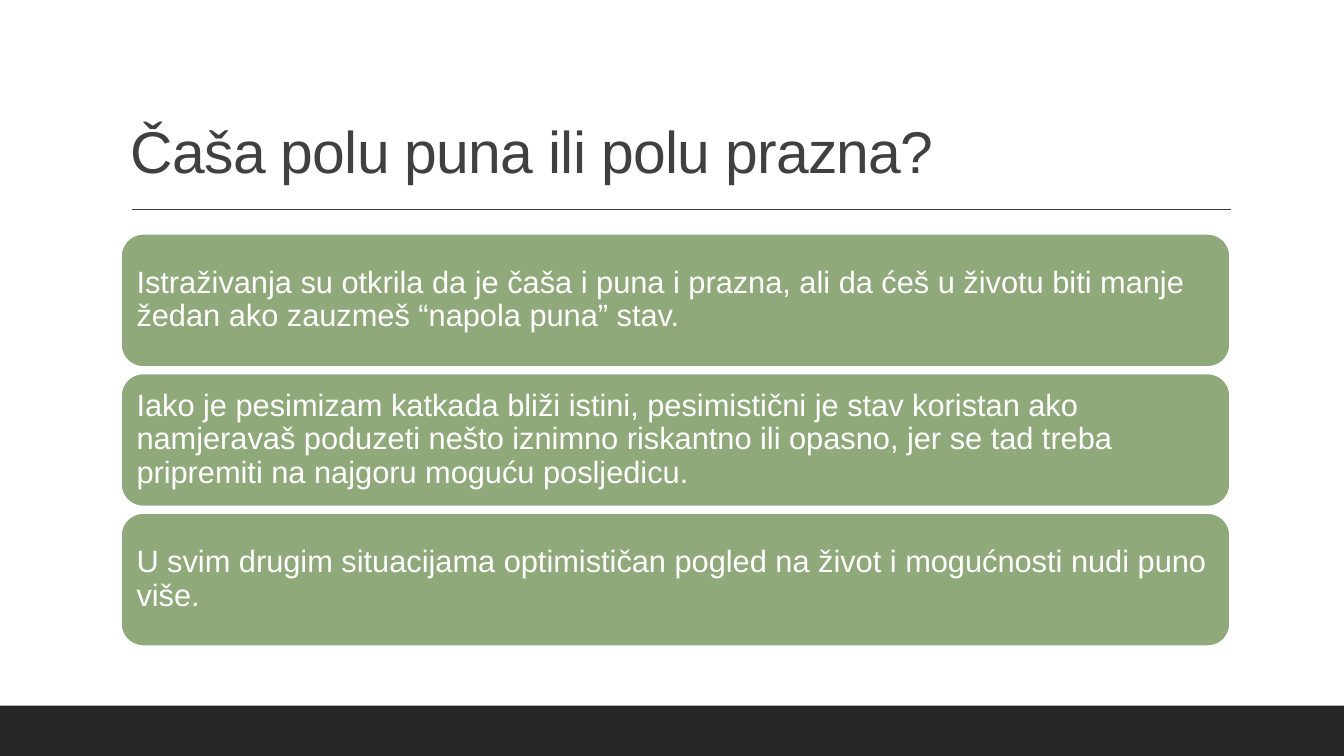
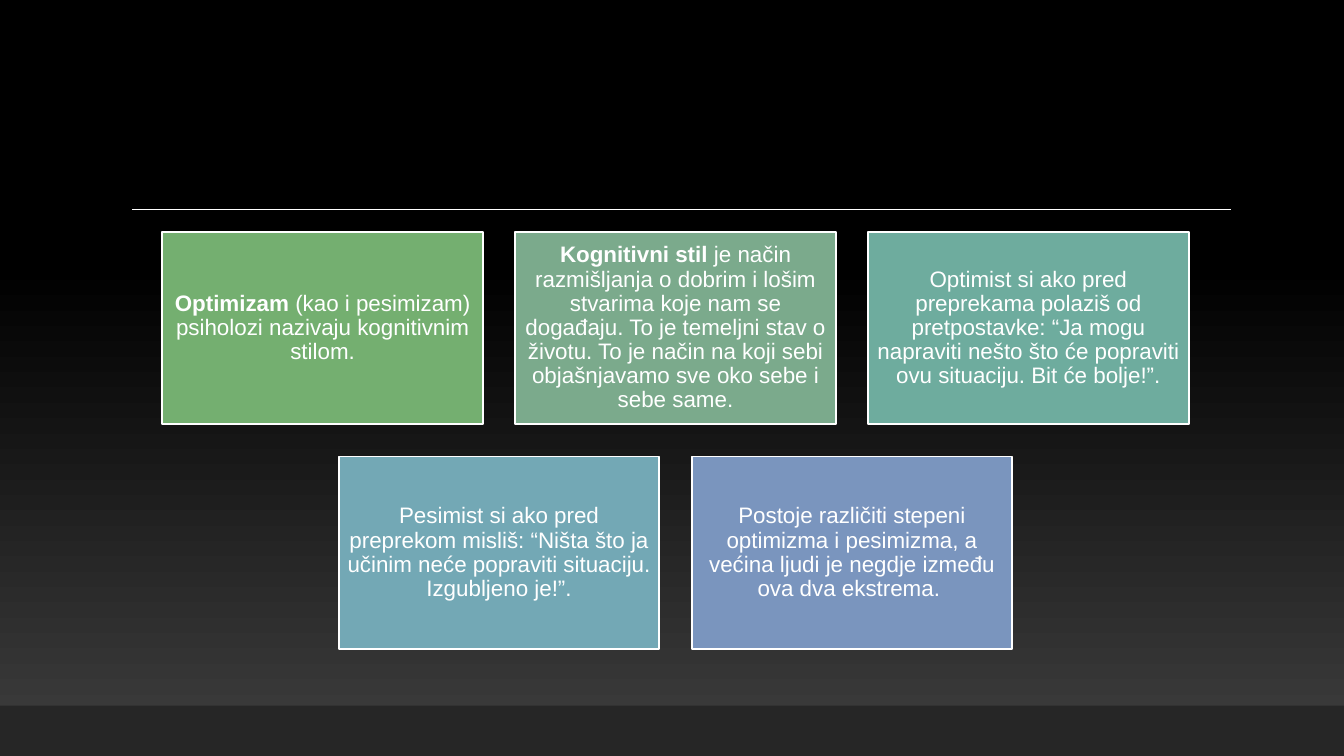
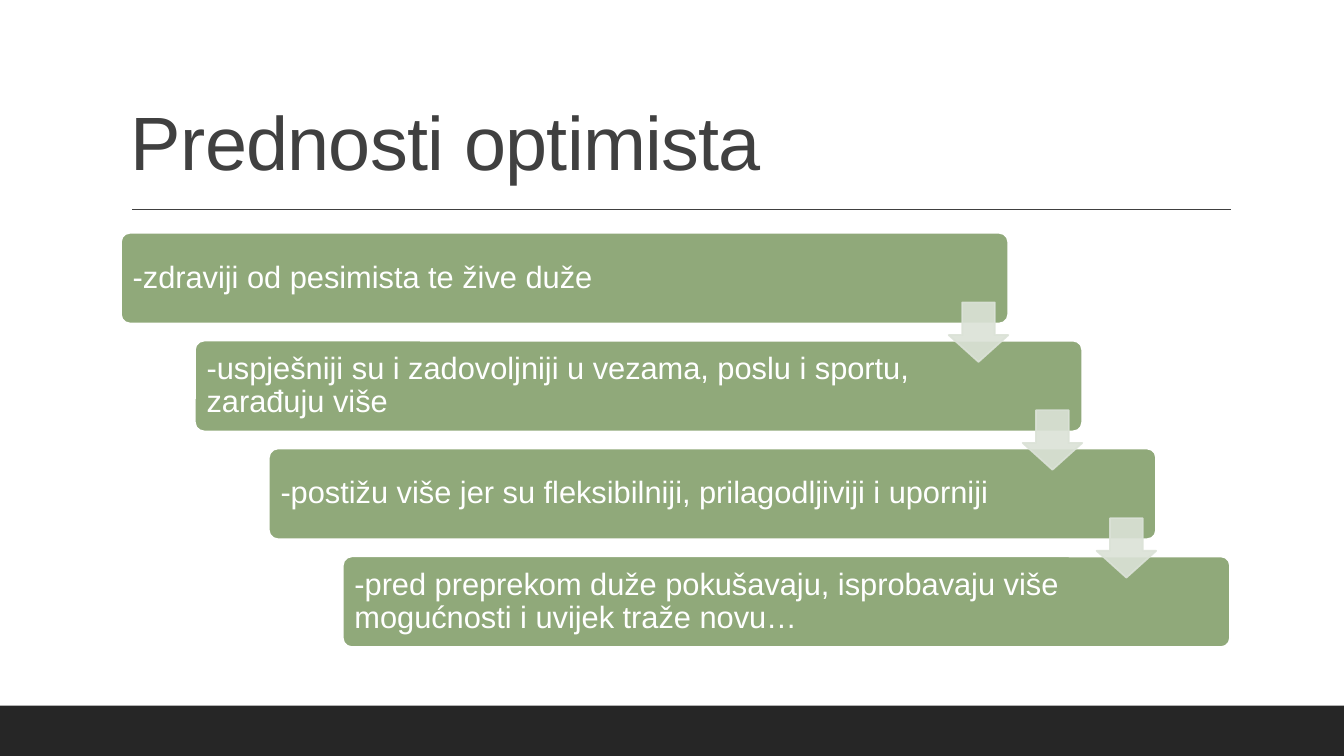
from pptx import Presentation
from pptx.dml.color import RGBColor
from pptx.enum.shapes import MSO_CONNECTOR, MSO_SHAPE as SHAPE
from pptx.enum.text import MSO_ANCHOR as ANCHOR, PP_ALIGN as ALIGN
from pptx.oxml.ns import qn
from pptx.util import Inches, Pt
from lxml.etree import SubElement

# Shared style
WHITE = RGBColor(0xFF, 0xFF, 0xFF)
BLACK = RGBColor(0, 0, 0)
GREY = RGBColor(0x3F, 0x3F, 0x3F)
DARK = RGBColor(0x40, 0x40, 0x40)
BAND = RGBColor(0x26, 0x26, 0x26)
GREEN = RGBColor(0x90, 0xA9, 0x7A)
PALE = RGBColor(0xDB, 0xE2, 0xD7)
CARD_COLOURS = [RGBColor(0x74, 0xAF, 0x70), RGBColor(0x7B, 0xAA, 0x8C),
                RGBColor(0x6E, 0xAC, 0x9E), RGBColor(0x73, 0xA8, 0xB5),
                RGBColor(0x7A, 0x95, 0xBE)]
FONT = "Arial"

# Shared layout, in inches
SLIDE_W, SLIDE_H = 13.33, 7.5
LEFT, WIDTH = 1.2, 11
BAND_H = 0.5
RULE_Y = 2.08

# Wording
BARS = [
    "Istraživanja su otkrila da je čaša i puna i prazna, ali da ćeš u životu "
    "biti manje žedan ako zauzmeš “napola puna” stav.",
    "Iako je pesimizam katkada bliži istini, pesimistični je stav koristan ako "
    "namjeravaš poduzeti nešto iznimno riskantno ili opasno, jer se tad treba "
    "pripremiti na najgoru moguću posljedicu.",
    "U svim drugim situacijama optimističan pogled na život i mogućnosti nudi "
    "puno više.",
]
# Each card is a bold lead and the plain text after it
CARDS = [
    ("Optimizam", " (kao i pesimizam) psiholozi nazivaju kognitivnim stilom."),
    ("Kognitivni stil ", "je način razmišljanja o dobrim i lošim stvarima koje "
     "nam se događaju. To je temeljni stav o životu. To je način na koji sebi "
     "objašnjavamo sve oko sebe i sebe same."),
    ("", "Optimist si ako pred preprekama polaziš od pretpostavke: “Ja mogu "
     "napraviti nešto što će popraviti ovu situaciju. Bit će bolje!”."),
    ("", "Pesimist si ako pred preprekom misliš: “Ništa što ja učinim neće "
     "popraviti situaciju. Izgubljeno je!”."),
    ("", "Postoje različiti stepeni optimizma i pesimizma, a većina ljudi je "
     "negdje između ova dva ekstrema. "),
]
STEPS = [
    "-zdraviji od pesimista te žive duže",
    "-uspješniji su i zadovoljniji u vezama, poslu i sportu, zarađuju više",
    "-postižu više jer su fleksibilniji, prilagodljiviji i uporniji",
    "-pred preprekom duže pokušavaju, isprobavaju više mogućnosti i uvijek "
    "traže novu…",
]


def add_box(s, kind, x, y, w, h, fill, line=WHITE):
    sp = s.shapes.add_shape(kind, Inches(x), Inches(y), Inches(w), Inches(h))
    sp.shadow.inherit = False
    sp.fill.solid()
    sp.fill.fore_color.rgb = fill
    if line is None:
        sp.line.fill.background()
    else:
        sp.line.color.rgb = line
        sp.line.width = Pt(1.25)
    return sp


def set_text(sp, text, size, lead="", color=WHITE, align=ALIGN.LEFT,
             anchor=ANCHOR.MIDDLE, inset=0.09, right=None):
    tf = sp.text_frame
    tf.word_wrap = True
    tf.vertical_anchor = anchor
    tf.margin_left = tf.margin_top = tf.margin_bottom = Inches(inset)
    tf.margin_right = Inches(inset if right is None else right)
    p = tf.paragraphs[0]
    p.alignment = align
    p.line_spacing = 0.9
    p.font.name, p.font.size, p.font.color.rgb = FONT, Pt(size), color
    if lead:
        r = p.add_run()
        r.text, r.font.bold = lead, True
    p.add_run().text = text
    return p


def add_base(prs, rule_color=DARK):
    """Blank slide with the bottom band and the rule under the title."""
    s = prs.slides.add_slide(prs.slide_layouts[6])
    add_box(s, SHAPE.RECTANGLE, 0, SLIDE_H - BAND_H, SLIDE_W, BAND_H, BAND, None)
    rule = s.shapes.add_connector(MSO_CONNECTOR.STRAIGHT, Inches(1.31),
                                  Inches(RULE_Y), Inches(12.21), Inches(RULE_Y))
    rule.line.color.rgb = rule_color
    rule.line.width = Pt(1)
    SubElement(rule._element.spPr, qn("a:effectLst"))
    return s


def add_title(s, text, size):
    sp = s.shapes.add_textbox(Inches(LEFT), Inches(0.31), Inches(WIDTH), Inches(1.59))
    p = set_text(sp, text, size, color=DARK, anchor=ANCHOR.BOTTOM, inset=0.1)
    sp.text_frame.margin_bottom = Inches(0.05)
    p.runs[0]._r.get_or_add_rPr().set("spc", "-50")


def add_arrow(s, x, y, size):
    sp = add_box(s, SHAPE.DOWN_ARROW, x, y, size, size, PALE, PALE)
    # The preset lists the head length first, then the shaft width
    sp.adjustments[0], sp.adjustments[1] = 0.55, 0.45
    for clr in sp._element.spPr.iter(qn("a:srgbClr")):
        SubElement(clr, qn("a:alpha")).set("val", "90000")


def add_bars(s):
    top, h, pitch = 2.32, 1.32, 1.385
    for i, text in enumerate(BARS):
        sp = add_box(s, SHAPE.ROUNDED_RECTANGLE, LEFT, top + i * pitch, WIDTH, h, GREEN)
        set_text(sp, text, 22)


def add_cards(s):
    top, w, h, gap, cols = 2.3, 3.18, 1.91, 0.32, 3
    for i, ((lead, text), fill) in enumerate(zip(CARDS, CARD_COLOURS)):
        row, col = divmod(i, cols)
        in_row = min(cols, len(CARDS) - row * cols)
        row_w = in_row * (w + gap) - gap
        x = LEFT + (WIDTH - row_w) / 2 + col * (w + gap)
        sp = add_box(s, SHAPE.RECTANGLE, x, top + row * (h + gap), w, h, fill)
        set_text(sp, text, 16, lead, align=ALIGN.CENTER, inset=0.07)


def add_staircase(s):
    top, w, h, pitch, arrow = 2.31, 8.8, 0.9, 1.07, 0.59
    shift = (WIDTH - w) / (len(STEPS) - 1)
    places = [(LEFT + i * shift, top + i * pitch) for i in range(len(STEPS))]
    for i, ((x, y), text) in enumerate(zip(places, STEPS)):
        sp = add_box(s, SHAPE.ROUNDED_RECTANGLE, x, y, w, h, GREEN)
        sp.adjustments[0] = 0.1
        set_text(sp, text, 22, right=1.42 if i else 1.08)
    for x, y in places[:-1]:
        add_arrow(s, x + w - arrow, y + 0.69, arrow)


def set_gradient(s):
    fill = s.background.fill
    fill.gradient()
    fill.gradient_angle = 90
    for stop, color, position in zip(fill.gradient_stops, (GREY, BLACK), (0, 0.65)):
        stop.color.rgb, stop.position = color, position


def main():
    prs = Presentation()
    prs.slide_width, prs.slide_height = Inches(SLIDE_W), Inches(SLIDE_H)

    # Slide 1: three bars
    s = add_base(prs)
    add_title(s, "Čaša polu puna ili polu prazna?", 42)
    add_bars(s)

    # Slide 2: cards on a dark background
    s = add_base(prs, WHITE)
    set_gradient(s)
    add_cards(s)

    # Slide 3: staircase with arrows
    s = add_base(prs)
    add_title(s, "Prednosti optimista", 54)
    add_staircase(s)

    prs.save("out.pptx")


if __name__ == "__main__":
    main()
